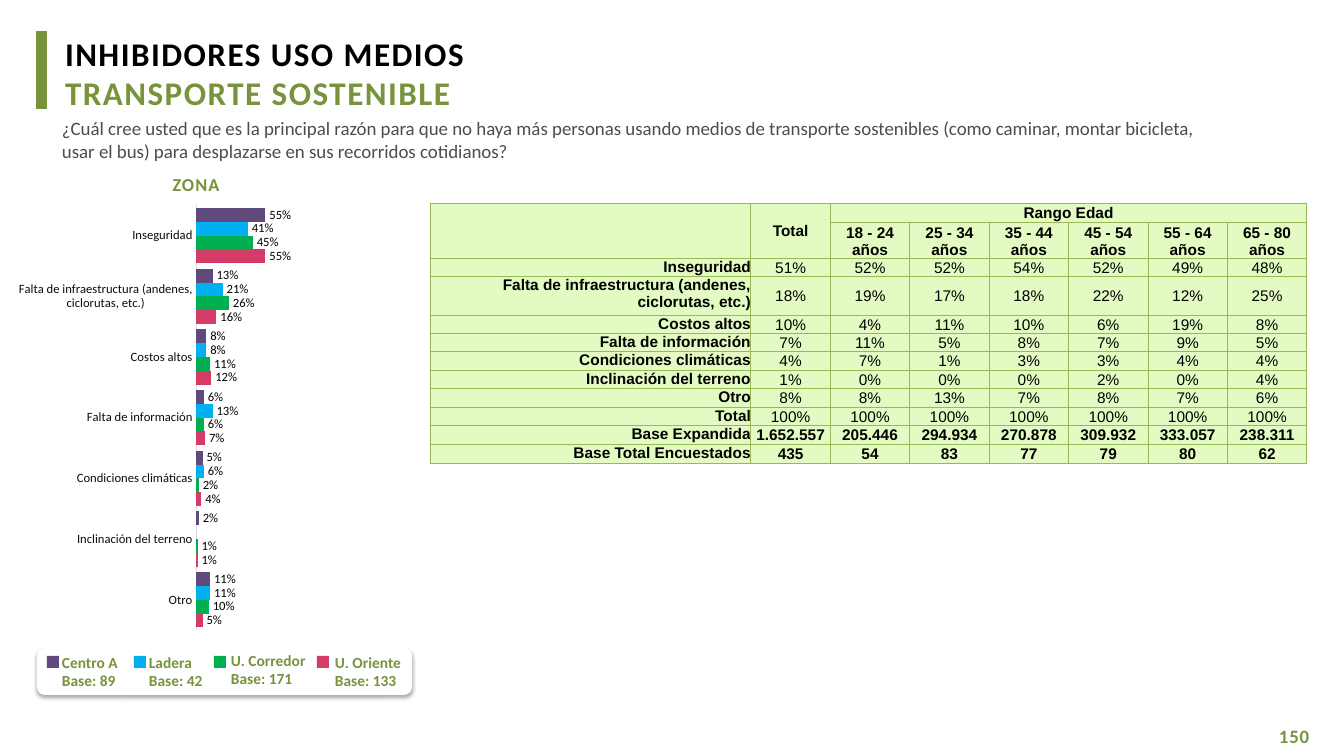
from lxml.etree import SubElement
from pptx import Presentation
from pptx.chart.data import CategoryChartData
from pptx.dml.color import RGBColor
from pptx.enum.chart import XL_CHART_TYPE, XL_LABEL_POSITION, XL_TICK_MARK
from pptx.enum.shapes import MSO_SHAPE
from pptx.enum.text import MSO_ANCHOR, MSO_AUTO_SIZE, PP_ALIGN
from pptx.oxml import parse_xml
from pptx.oxml.ns import nsdecls, qn
from pptx.util import Emu, Pt

EMU_PER_PX = 914400 / 100.8

OLIVE = RGBColor(0x77, 0x93, 0x3C)
BLACK = RGBColor(0, 0, 0)
WHITE = RGBColor(255, 255, 255)
GREY = RGBColor(0x4D, 0x4D, 0x4D)
AXIS_TEXT = RGBColor(0x0D, 0x0D, 0x0D)
AXIS_LINE = RGBColor(0xD9, 0xD9, 0xD9)
PURPLE = RGBColor(0x60, 0x4A, 0x7B)
BLUE = RGBColor(0, 0xB0, 0xF0)
GREEN = RGBColor(0, 0xB0, 0x50)
PINK = RGBColor(0xD5, 0x3B, 0x67)
TABLE_FILL = RGBColor(0xE3, 0xFB, 0xC2)
TABLE_LINE = RGBColor(0x98, 0xB9, 0x55)

QUESTION = (
    "¿Cuál cree usted que es la principal razón para que no haya más personas usando "
    "medios de transporte sostenibles (como caminar, montar bicicleta, usar el bus) "
    "para desplazarse en sus recorridos cotidianos?"
)
REASONS = [
    "Inseguridad", "Falta de infraestructura (andenes, ciclorutas, etc.)", "Costos altos",
    "Falta de información", "Condiciones climáticas", "Inclinación del terreno", "Otro",
]
# zone, base, colour, swatch left, label left, label top, shares by reason
ZONES = [
    ("Centro A", 89, PURPLE, 47, 62, 653, [0.55, 0.13, 0.08, 0.06, 0.05, 0.02, 0.11]),
    ("Ladera", 42, BLUE, 134, 149, 653, [0.41, 0.21, 0.08, 0.13, 0.06, None, 0.11]),
    ("U. Corredor", 171, GREEN, 214, 231, 651, [0.45, 0.26, 0.11, 0.06, 0.02, 0.01, 0.1]),
    ("U. Oriente", 133, PINK, 317, 335, 653, [0.55, 0.16, 0.12, 0.07, 0.04, 0.01, 0.05]),
]
AGES = ["18 - 24", "25 - 34", "35 - 44", "45 - 54", "55 - 64", "65 - 80"]
AGE_SHARES = [
    [51, 52, 52, 54, 52, 49, 48],
    [18, 19, 17, 18, 22, 12, 25],
    [10, 4, 11, 10, 6, 19, 8],
    [7, 11, 5, 8, 7, 9, 5],
    [4, 7, 1, 3, 3, 4, 4],
    [1, 0, 0, 0, 2, 0, 4],
    [8, 8, 13, 7, 8, 7, 6],
    [100] * 7,
]
BASES = [
    ["Base Expandida", "1.652.557", "205.446", "294.934", "270.878", "309.932", "333.057", "238.311"],
    ["Base Total Encuestados", "435", "54", "83", "77", "79", "80", "62"],
]
ROW_HEIGHTS = [19, 37, 18, 39, 18, 18, 19, 18, 19, 18, 19, 19]


def px(length):
    return Emu(round(length * EMU_PER_PX))


def place(shape, left, top, width, height):
    shape.left, shape.top, shape.width, shape.height = map(px, (left, top, width, height))


def style_font(font, size, color, bold=False, name="Calibri"):
    font.name, font.size, font.bold = name, Pt(size), bold
    font.color.rgb = color


def fill_text(shape, lines, size, colors, bold=True, tracking=0, align=PP_ALIGN.LEFT):
    """Write one paragraph per line, without insets; tracking is in hundredths of a point."""
    frame = shape.text_frame
    frame.text = "\n".join(lines)
    frame.word_wrap = True
    frame.auto_size = MSO_AUTO_SIZE.NONE
    frame.vertical_anchor = MSO_ANCHOR.TOP
    frame.margin_left = frame.margin_top = frame.margin_right = frame.margin_bottom = 0
    for paragraph, color in zip(frame.paragraphs, colors):
        properties = paragraph._p.get_or_add_pPr()
        properties.set("marL", "0")
        properties.set("indent", "0")
        SubElement(properties, qn("a:buNone"))
        paragraph.alignment = align
        paragraph.space_before = Pt(0)
        for run in paragraph.runs:
            style_font(run.font, size, color, bold)
            run._r.get_or_add_rPr().set("spc", str(tracking))


def add_label(slide, box, lines, size, **options):
    label = slide.shapes.add_textbox(*map(px, box))
    fill_text(label, lines, size, [OLIVE] * len(lines), **options)


def add_block(slide, preset, box, color):
    block = slide.shapes.add_shape(preset, *map(px, box))
    block.shadow.inherit = False
    block.fill.solid()
    block.fill.fore_color.rgb = color
    block.line.fill.background()
    return block


def add_legend(slide):
    panel = add_block(slide, MSO_SHAPE.ROUNDED_RECTANGLE, (37, 648, 375, 47), WHITE)
    effects = panel._element.spPr.find(qn("a:effectLst"))
    effects.append(parse_xml(
        f'<a:outerShdw {nsdecls("a")} blurRad="39370" dist="22860" dir="5400000" rotWithShape="0">'
        '<a:srgbClr val="000000"><a:alpha val="35000"/></a:srgbClr></a:outerShdw>'
    ))
    for zone, base, color, swatch_left, label_left, label_top, _ in ZONES:
        add_block(slide, MSO_SHAPE.RECTANGLE, (swatch_left, 656, 12, 12), color)
        add_label(slide, (label_left, label_top, 80, 38), [zone, f"Base: {base}"], 11)


def add_zone_chart(slide):
    data = CategoryChartData(number_format="0%")
    data.categories = REASONS
    for zone, *_, shares in ZONES:
        data.add_series(zone, shares)
    chart = slide.shapes.add_chart(
        XL_CHART_TYPE.BAR_CLUSTERED, *map(px, (-11, 187, 340, 457)), data
    ).chart
    chart.has_legend = chart.has_title = False
    style_font(chart.font, 10, BLACK)

    reasons_axis = chart.category_axis
    reasons_axis.reverse_order = True
    reasons_axis.major_tick_mark = reasons_axis.minor_tick_mark = XL_TICK_MARK.NONE
    reasons_axis.format.line.color.rgb = AXIS_LINE
    reasons_axis.format.line.width = Pt(0.75)
    style_font(reasons_axis.tick_labels.font, 9, AXIS_TEXT)
    share_axis = chart.value_axis
    share_axis.minimum_scale, share_axis.maximum_scale = 0, 1
    share_axis.has_major_gridlines = share_axis.visible = False

    plot = chart.plots[0]
    plot.gap_width, plot.overlap, plot.vary_by_categories = 40, 0, False
    for series, (_, _, color, *_) in zip(plot.series, ZONES):
        series.format.fill.solid()
        series.format.fill.fore_color.rgb = color
        labels = series.data_labels
        labels.show_value = True
        labels.position = XL_LABEL_POSITION.OUTSIDE_END
        labels.number_format, labels.number_format_is_linked = "0%", False
        style_font(labels.font, 9, BLACK)

    plot_area = chart._chartSpace.chart.plotArea
    for old_layout in plot_area.findall(qn("c:layout")):
        plot_area.remove(old_layout)
    plot_area.insert(0, parse_xml(
        f'<c:layout {nsdecls("c")}><c:manualLayout><c:layoutTarget val="inner"/>'
        '<c:xMode val="edge"/><c:yMode val="edge"/><c:x val="0.61"/><c:y val="0.04"/>'
        '<c:w val="0.37"/><c:h val="0.93"/></c:manualLayout></c:layout>'
    ))


def format_cell(cell, text, bold, align, anchor):
    cell.margin_left = cell.margin_top = cell.margin_right = cell.margin_bottom = 0
    cell.vertical_anchor = anchor
    paragraph = cell.text_frame.paragraphs[0]
    paragraph.alignment = align
    run = paragraph.add_run()
    run.text = text
    style_font(run.font, 11, BLACK, bold, "Arial")
    for side in ("lnL", "lnR", "lnT", "lnB"):
        cell._tc.get_or_add_tcPr().append(parse_xml(
            f'<a:{side} {nsdecls("a")} w="9525"><a:solidFill>'
            f'<a:srgbClr val="{TABLE_LINE}"/></a:solidFill></a:{side}>'
        ))
    cell.fill.solid()
    cell.fill.fore_color.rgb = TABLE_FILL


def add_age_table(slide):
    rows = [["", "Total", "Rango Edad"] + [""] * 5, ["", ""] + [f"{age} años" for age in AGES]]
    for reason, shares in zip(REASONS + ["Total"], AGE_SHARES):
        rows.append([reason] + [f"{share}%" for share in shares])
    rows += BASES

    table = slide.shapes.add_table(len(rows), 8, *map(px, (430, 203, 877, sum(ROW_HEIGHTS)))).table
    table.first_row = table.horz_banding = False
    for index, column in enumerate(table.columns):
        column.width = px(321 if index == 0 else 556 / 7)
    for row, height in zip(table.rows, ROW_HEIGHTS):
        row.height = px(height)
    for r, values in enumerate(rows):
        for c, text in enumerate(values):
            bold = r < 2 or c == 0 or r >= len(rows) - len(BASES)
            align = PP_ALIGN.RIGHT if c == 0 else PP_ALIGN.CENTER
            anchor = MSO_ANCHOR.MIDDLE
            if c == 0:
                anchor = MSO_ANCHOR.TOP
            elif r < 2 and c > 1:
                anchor = MSO_ANCHOR.BOTTOM
            format_cell(table.cell(r, c), text, bold, align, anchor)
    for first, last in (((0, 0), (1, 0)), ((0, 1), (1, 1)), ((0, 2), (0, 7))):
        table.cell(*first).merge(table.cell(*last))


def main():
    presentation = Presentation()
    presentation.slide_width, presentation.slide_height = px(1344), px(756)
    slide = presentation.slides.add_slide(presentation.slide_layouts[1])

    add_block(slide, MSO_SHAPE.RECTANGLE, (37, 32, 10, 77), OLIVE).line.color.rgb = OLIVE
    title, question = slide.placeholders
    place(title, 65, 33, 564, 83)
    fill_text(title, ["INHIBIDORES USO MEDIOS", "TRANSPORTE SOSTENIBLE"], 23.6,
              [BLACK, OLIVE], tracking=105)
    place(question, 62, 117, 1165, 46)
    fill_text(question, [QUESTION], 13.5, [GREY], bold=False)

    add_label(slide, (77, 173, 238, 23), ["ZONA"], 13, tracking=80, align=PP_ALIGN.CENTER)
    add_zone_chart(slide)
    add_legend(slide)
    add_age_table(slide)
    add_label(slide, (1279, 725, 49, 24), ["150"], 13.5, tracking=60)
    presentation.save("out.pptx")


if __name__ == "__main__":
    main()
